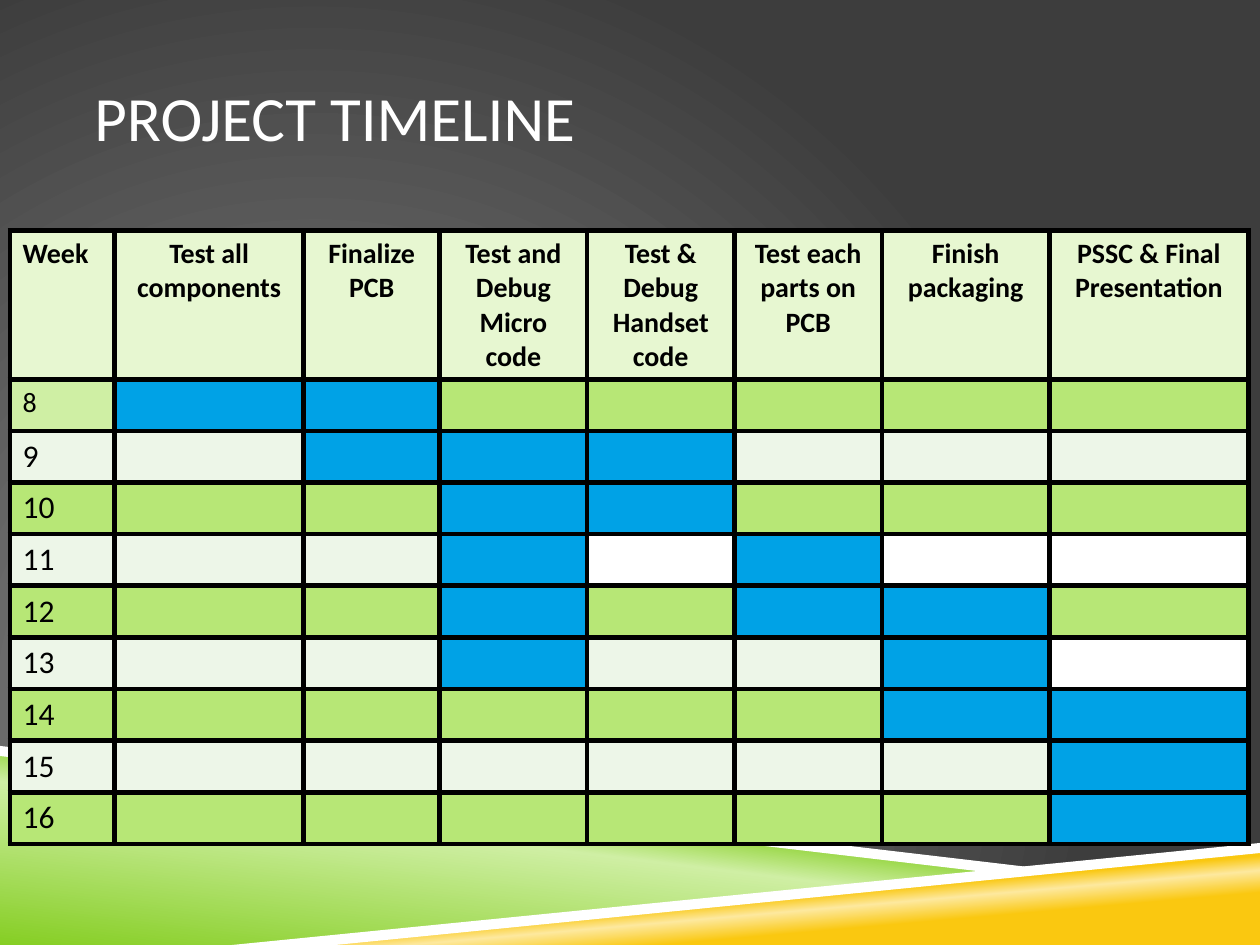
from dataclasses import dataclass

from pptx import Presentation
from pptx.dml.color import RGBColor
from pptx.enum.text import MSO_ANCHOR, PP_ALIGN
from pptx.oxml import parse_xml
from pptx.oxml.ns import nsdecls
from pptx.util import Inches, Pt

LEFT, CENTER = PP_ALIGN.LEFT, PP_ALIGN.CENTER
MIDDLE = MSO_ANCHOR.MIDDLE


@dataclass(frozen=True)
class Theme:
    font: str = "Calibri"
    title: int = 36
    head: int = 16
    body: int = 18
    black: str = "000000"
    white: str = "FFFFFF"
    header: str = "E7F7D1"
    light: str = "CFEFA4"
    green: str = "B7E776"
    pale: str = "EDF6E8"
    blue: str = "00A2E6"
    back: tuple = ((0, "878787"), (100, "3D3D3D"))
    leaf: tuple = ((0, "86CE24"), (52, "CFEFA4"), (66, "86CE24"))
    gold: tuple = ((28, "FAC810"), (40, "FDE99F"), (48, "FAC810"))
    border: int = 3


HEADS = ["Week", "Test all components", "Finalize PCB",
         "Test and\nDebug\nMicro code", "Test & Debug Handset code",
         "Test each parts on PCB", "Finish packaging",
         "PSSC & Final Presentation"]
COLS = [0.83, 1.5, 1.08, 1.17, 1.17, 1.17, 1.33, 1.58]
HEAD_ROW, WEEK_ROW = 1.18, 0.41

# One letter per cell: B busy, G green band, P pale band, L light, W white
WEEKS = {8: "LBBGGGGG", 9: "PPBBBPPP", 10: "GGGBBGGG",
         11: "PPPBWBWW", 12: "GGGBGBBG", 13: "PPPBPPBW",
         14: "GGGGGGBB", 15: "PPPPPPPB", 16: "GGGGGGGB"}


def write(frame, text, size, color, font, bold=False, align=LEFT):
    """Fill a text frame, one paragraph for each line of text."""
    for i, line in enumerate(text.split("\n")):
        para = frame.add_paragraph() if i else frame.paragraphs[0]
        para.alignment = align
        run = para.add_run()
        run.text = line
        run.font.name, run.font.size, run.font.bold = font, Pt(size), bold
        run.font.color.rgb = RGBColor.from_string(color)


def blend(fill, owner, stops, shade):
    """Give a fill gradient stops and a direction element."""
    fill.gradient()
    marks = "".join(f'<a:gs pos="{pos * 1000}"><a:srgbClr val="{color}"/></a:gs>'
                    for pos, color in stops)
    grad = owner.xpath(".//a:gradFill")[0]
    grad[:] = [parse_xml(f'<a:gsLst {nsdecls("a")}>{marks}</a:gsLst>'),
               parse_xml(shade)]


class Deck:
    def __init__(self, theme):
        self.theme = theme
        self.prs = Presentation()
        self.prs.slide_width, self.prs.slide_height = Inches(10), Inches(7.5)
        self.slide = self.prs.slides.add_slide(self.prs.slide_layouts[6])

    def back(self, stops):
        shade = (f'<a:path {nsdecls("a")} path="circle"><a:fillToRect l="50000" '
                 't="100000" r="100000" b="50000"/></a:path>')
        blend(self.slide.background.fill, self.slide.element, stops, shade)

    def band(self, points, color=None, stops=None, angle=0):
        start, *rest = [(Inches(x), Inches(y)) for x, y in points]
        form = self.slide.shapes.build_freeform(*start)
        form.add_line_segments(rest, close=True)
        shape = form.convert_to_shape()
        shape.shadow.inherit = False
        shape.line.fill.background()
        if stops:
            shade = f'<a:lin {nsdecls("a")} ang="{angle * 60000}" scaled="0"/>'
            blend(shape.fill, shape.element, stops, shade)
        else:
            shape.fill.solid()
            shape.fill.fore_color.rgb = RGBColor.from_string(color)

    def title(self, text, x, y, w, h):
        box = self.slide.shapes.add_textbox(*map(Inches, (x, y, w, h)))
        frame = box.text_frame
        frame.word_wrap = True
        frame.vertical_anchor = MIDDLE
        frame.margin_left = frame.margin_right = 0
        write(frame, text, self.theme.title, self.theme.white, self.theme.font)

    def cell(self, cell, color, text="", **style):
        cell.fill.solid()
        cell.fill.fore_color.rgb = RGBColor.from_string(color)
        props = cell._tc.get_or_add_tcPr()
        for i, side in enumerate("LRTB"):
            props.insert(i, parse_xml(
                f'<a:ln{side} {nsdecls("a")} w="{Pt(self.theme.border)}">'
                f'<a:solidFill><a:srgbClr val="{self.theme.black}"/>'
                f'</a:solidFill></a:ln{side}>'))
        if text:
            write(cell.text_frame, text, color=self.theme.black,
                  font=self.theme.font, **style)

    def table(self, x, y):
        theme = self.theme
        fills = {"B": theme.blue, "G": theme.green, "P": theme.pale,
                 "L": theme.light, "W": theme.white}
        high = HEAD_ROW + WEEK_ROW * len(WEEKS)
        table = self.slide.shapes.add_table(
            len(WEEKS) + 1, len(COLS), Inches(x), Inches(y),
            Inches(sum(COLS)), Inches(high)).table
        table.first_row = table.horz_banding = False
        for col, width in zip(table.columns, COLS):
            col.width = Inches(width)
        for i, row in enumerate(table.rows):
            row.height = Inches(WEEK_ROW if i else HEAD_ROW)

        # Header row
        for i, head in enumerate(HEADS):
            self.cell(table.cell(0, i), theme.header, head, size=theme.head,
                      bold=True, align=CENTER if i else LEFT)
        # Week rows; the first week has the header's type size
        for r, (week, marks) in enumerate(WEEKS.items(), 1):
            size = theme.head if r == 1 else theme.body
            for c, mark in enumerate(marks):
                self.cell(table.cell(r, c), fills[mark],
                          "" if c else str(week), size=size)


def main():
    theme = Theme()
    deck = Deck(theme)

    # Background and bands at the foot
    deck.back(theme.back)
    deck.band([(0, 5.97), (7.92, 6.92), (2, 7.5), (0, 7.5)],
              stops=theme.leaf, angle=277)
    deck.band([(1.98, 7.5), (10, 6.72), (10, 7.5)],
              stops=theme.gold, angle=265)
    deck.band([(0, 5.92), (0, 6), (7.9, 6.93), (8.32, 6.9)], theme.white)
    deck.band([(10, 6.69), (1.84, 7.5), (2.66, 7.5), (10, 6.77)], theme.white)

    # Title and timeline
    deck.title("PROJECT TIMELINE", 0.75, 0.3, 8.5, 1.25)
    deck.table(0.08, 1.83)
    deck.prs.save("out.pptx")


if __name__ == "__main__":
    main()
